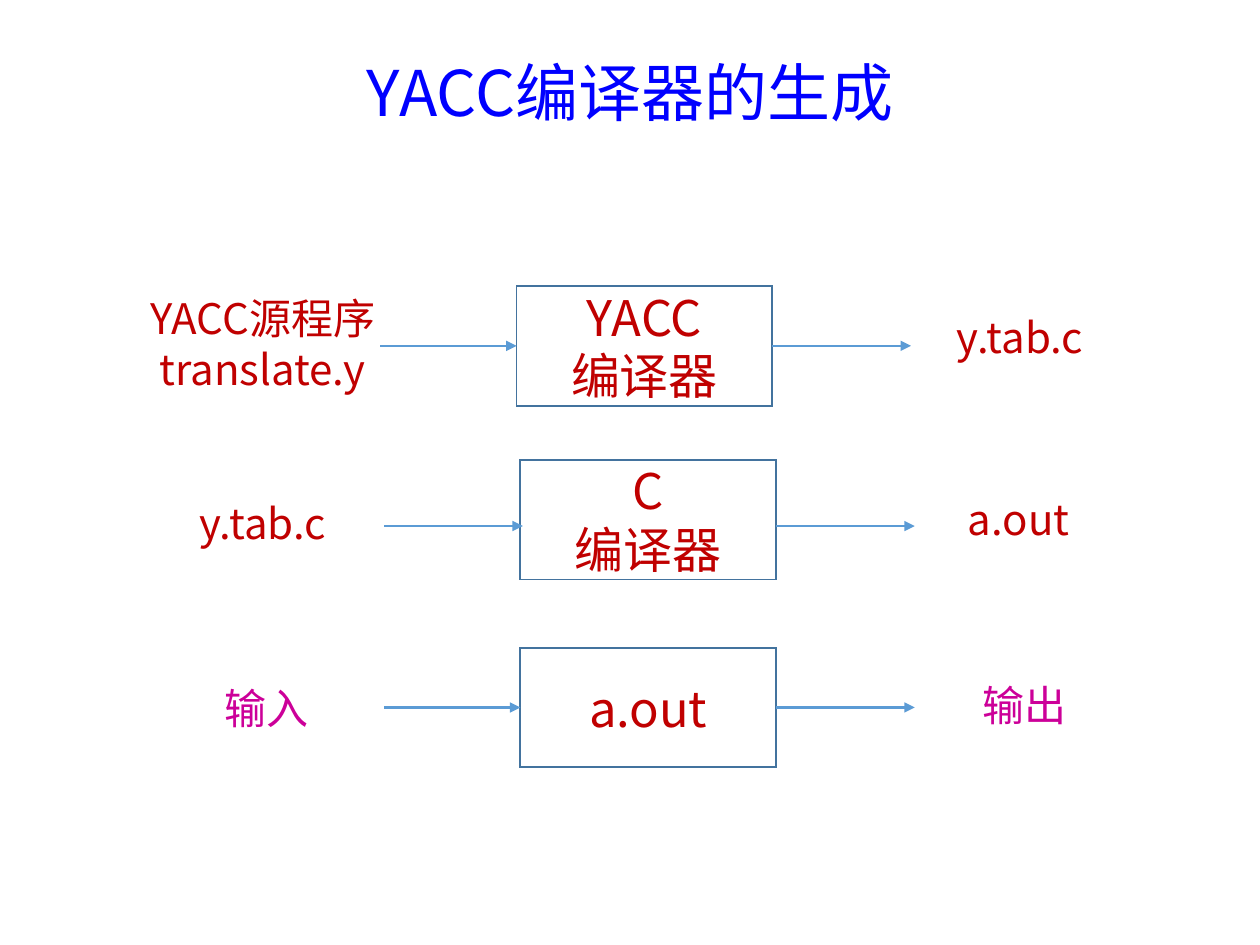
from dataclasses import dataclass

from lxml import etree
from pptx import Presentation
from pptx.dml.color import RGBColor
from pptx.enum.shapes import MSO_CONNECTOR, MSO_SHAPE
from pptx.enum.text import MSO_ANCHOR, PP_ALIGN
from pptx.oxml.ns import qn
from pptx.util import Inches, Pt

RECT = MSO_SHAPE.RECTANGLE
STRAIGHT = MSO_CONNECTOR.STRAIGHT
MIDDLE = MSO_ANCHOR.MIDDLE
CENTER = PP_ALIGN.CENTER
LEFT_SIDE, RIGHT_SIDE = 1, 3


@dataclass(frozen=True)
class Theme:
    title_font: str = "Noto Sans CJK JP"
    font: str = "Noto Sans CJK SC"
    title: RGBColor = RGBColor(0x00, 0x00, 0xFF)
    code: RGBColor = RGBColor(0xC0, 0x00, 0x00)
    data: RGBColor = RGBColor(0xCC, 0x00, 0x99)
    border: RGBColor = RGBColor(0x43, 0x73, 0x9E)
    arrow: RGBColor = RGBColor(0x5B, 0x9B, 0xD5)
    title_size: int = 36
    box_size: int = 28
    label_size: int = 24


THEME = Theme()
BOX_W, ROW_H, LABEL_W, ARROW_W = 2.03, 0.95, 2.53, 1.1

STAGES = [
    (4.10, 2.27, ["YACC", "编译器"], THEME.code, 0,
     (0.82, 2.25, ["YACC源程序", "translate.y"]), (6.83, 2.20, ["y.tab.c"])),
    (4.13, 3.65, ["C", "编译器"], THEME.code, 0.05,
     (0.82, 3.67, ["y.tab.c"]), (6.82, 3.64, ["a.out"])),
    (4.13, 5.14, ["a.out"], THEME.data, 0,
     (0.85, 5.14, ["输入"]), (6.87, 5.12, ["输出"])),
]


def write_lines(sp, lines, size, color, font=THEME.font, spacing=None):
    tf = sp.text_frame
    tf.word_wrap = True
    tf.vertical_anchor = MIDDLE
    for i, line in enumerate(lines):
        p = tf.paragraphs[0] if i == 0 else tf.add_paragraph()
        p.alignment = CENTER
        if spacing:
            p.line_spacing = spacing
        r = p.add_run()
        r.text = line
        r.font.size = Pt(size)
        r.font.color.rgb = color
        r.font.name = font
        ea = etree.SubElement(r.font._element, qn("a:ea"))
        ea.set("typeface", font)


def add_label(s, x, y, w, h, lines, size, color, **style):
    sp = s.shapes.add_textbox(Inches(x), Inches(y), Inches(w), Inches(h))
    write_lines(sp, lines, size, color, **style)


def add_box(s, x, y, lines):
    sp = s.shapes.add_shape(RECT, Inches(x), Inches(y), Inches(BOX_W), Inches(ROW_H))
    sp.shadow.inherit = False
    sp.fill.background()
    sp.line.color.rgb = THEME.border
    sp.line.width = Pt(1)
    etree.SubElement(sp.line._get_or_add_ln(), qn("a:miter")).set("lim", "800000")
    write_lines(sp, lines, THEME.box_size, THEME.code)
    return sp


def add_arrow(s, x, y):
    line = s.shapes.add_connector(
        STRAIGHT, Inches(x), Inches(y), Inches(x + ARROW_W), Inches(y))
    line.line.color.rgb = THEME.arrow
    line.line.width = Pt(1.5)
    etree.SubElement(line.line._get_or_add_ln(), qn("a:tailEnd")).set("type", "triangle")
    etree.SubElement(line._element.spPr, qn("a:effectLst"))
    return line


def add_stage(s, x, y, lines, label_color, arrow_drop, source, result):
    box = add_box(s, x, y, lines)
    for label_x, label_y, text in (source, result):
        add_label(s, label_x, label_y, LABEL_W, ROW_H, text, THEME.label_size, label_color)
    arrow_y = y + ROW_H / 2 + arrow_drop
    arrow_in = add_arrow(s, x - ARROW_W + 0.02, arrow_y)
    arrow_out = add_arrow(s, x + BOX_W, arrow_y)
    if not arrow_drop:
        arrow_in.end_connect(box, LEFT_SIDE)
        arrow_out.begin_connect(box, RIGHT_SIDE)


def main():
    prs = Presentation()
    prs.slide_width, prs.slide_height = Inches(10), Inches(7.5)
    s = prs.slides.add_slide(prs.slide_layouts[6])
    add_label(s, 0.69, 0.4, 8.62, 0.73, ["YACC编译器的生成"], THEME.title_size,
              THEME.title, font=THEME.title_font, spacing=0.9)
    for stage in STAGES:
        add_stage(s, *stage)
    prs.save("out.pptx")


if __name__ == "__main__":
    main()
